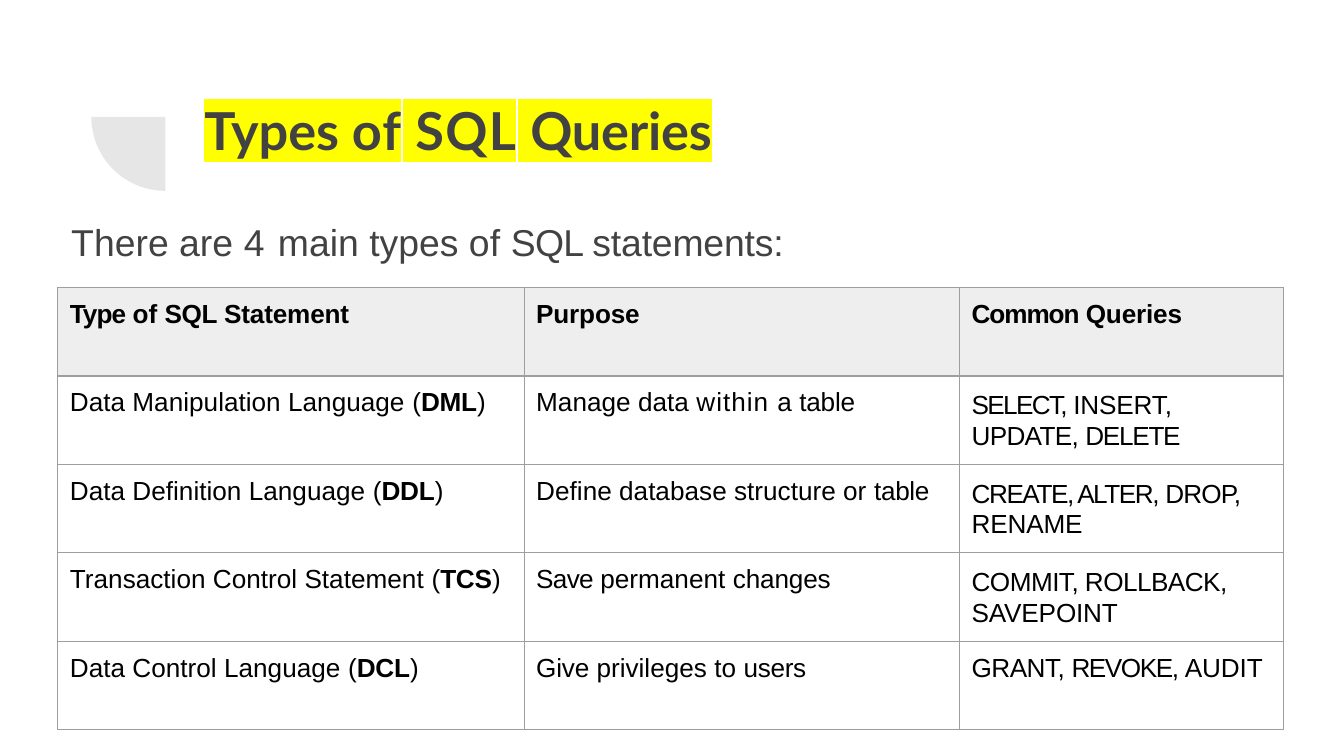
from dataclasses import dataclass
from math import cos, pi, sin
from typing import NamedTuple

from lxml.etree import SubElement
from pptx import Presentation
from pptx.dml.color import RGBColor
from pptx.enum.text import MSO_ANCHOR as Anchor, MSO_AUTO_SIZE as AutoSize, PP_ALIGN as Align
from pptx.oxml.ns import qn
from pptx.util import Inches, Pt


@dataclass(frozen=True)
class Theme:
    ink: str = "424242"
    black: str = "000000"
    highlight: str = "FFFF00"
    header: str = "EEEEEE"
    border: str = "9E9E9E"
    title_font: str = "Lato"
    body_font: str = "Arial"
    title_size: float = 28
    body_size: float = 20
    table_size: float = 14


class Span(NamedTuple):
    text: str
    spc: float = 0
    bold: bool = False


class Statement(NamedTuple):
    kind: list[Span]
    purpose: list[Span]
    queries: list[Span]
    two_lines: bool = True


THEME = Theme()

TITLE = [Span("Types"), Span(" ", -0.6), Span("of", 0.7), Span(" ", -0.5),
         Span("SQL", 0.8), Span(" ", -0.5), Span("Queries", -0.1)]
INTRO = [Span("There are "), Span("4 ", 0.8), Span("main types of "),
         Span("SQL ", -0.4), Span("statements:", -0.1)]
HEADER = [
    [Span("Type ", -0.5), Span("of "), Span("SQL ", -0.2), Span("Statement", -0.1)],
    [Span("Purpose", -0.1)],
    [Span("Common ", -0.6), Span("Queries", -0.1)],
]


def kind(name: str, code: str) -> list[Span]:
    return [Span(f"{name} "), Span("(", -0.2), Span(code, -0.2, True), Span(")", -0.2)]


STATEMENTS = [
    Statement(kind("Data Manipulation Language", "DML"),
              [Span("Manage data "), Span("within ", 0.5), Span("a "), Span("table", -0.1)],
              [Span("SELECT, ", -0.9), Span("INSERT, ", -0.1),
               Span("UPDATE, ", -0.4), Span("DELETE", -0.7)]),
    Statement(kind("Data Deﬁnition Language", "DDL"),
              [Span("Deﬁne database structure or "), Span("table", -0.2)],
              [Span("CREATE, ALTER, ", -0.8), Span("DROP, ", -0.5), Span("RENAME", -0.1)]),
    Statement(kind("Transaction Control Statement", "TCS"),
              [Span("Save ", -0.4), Span("permanent "), Span("changes", -0.1)],
              [Span("COMMIT, ROLLBACK, ", -0.3), Span("SAVEPOINT", -0.1)]),
    Statement(kind("Data Control Language", "DCL"),
              [Span("Give ", -0.1), Span("privileges to "), Span("users", -0.2)],
              [Span("GRANT, ", -0.3), Span("REVOKE, ", -0.8), Span("AUDIT", -0.1)],
              two_lines=False),
]


def rgb(color: str) -> RGBColor:
    return RGBColor.from_string(color)


def write(tf, spans: list[Span], *, size: float, color: str, font: str = THEME.body_font,
          bold: bool = False, highlight: str = "", indent: float = 0, before: float = 1,
          leading: float | None = None) -> None:
    tf.word_wrap = True
    p = tf.paragraphs[0]
    p.alignment = Align.LEFT
    p.space_before = Pt(before)
    if leading:
        p.line_spacing = Pt(leading)
    pPr = p._p.get_or_add_pPr()
    pPr.set("marL", str(Inches(indent)))
    pPr.set("indent", "0")
    for span in spans:
        r = p.add_run()
        r.text = span.text
        r.font.name = font
        r.font.size = Pt(size)
        r.font.bold = bold or span.bold
        r.font.color.rgb = rgb(color)
        rPr = r._r.get_or_add_rPr()
        rPr.set("spc", str(round(span.spc * 100)))
        if highlight:
            mark = SubElement(rPr, qn("a:highlight"))
            SubElement(mark, qn("a:srgbClr"), val=highlight)
            rPr.find(qn("a:solidFill")).addnext(mark)


def set_margins(box, top: float) -> None:
    box.margin_left = box.margin_right = box.margin_bottom = 0
    box.margin_top = Inches(top)


def place(sp, left: float, top: float, width: float, height: float) -> None:
    sp.left, sp.top, sp.width, sp.height = map(Inches, (left, top, width, height))


def add_quarter_disc(s, cx: float, cy: float, radius: float, steps: int = 24) -> None:
    angles = [pi / 2 * i / steps for i in range(steps + 1)]
    arc = [(Inches(cx - radius * cos(a)), Inches(cy + radius * sin(a))) for a in angles]
    builder = s.shapes.build_freeform(Inches(cx), Inches(cy))
    builder.add_line_segments(arc, close=True)
    sp = builder.convert_to_shape()
    sp.shadow.inherit = False
    sp.line.fill.background()
    sp.fill.solid()
    sp.fill.fore_color.rgb = rgb(THEME.ink)
    SubElement(sp._element.spPr.find(f".//{qn('a:srgbClr')}"), qn("a:alpha"), val="13000")


def add_borders(cell) -> None:
    tcPr = cell._tc.get_or_add_tcPr()
    for i, side in enumerate(("lnL", "lnR", "lnT", "lnB")):
        ln = SubElement(tcPr, qn(f"a:{side}"), w=str(Pt(0.75)))
        fill = SubElement(ln, qn("a:solidFill"))
        SubElement(fill, qn("a:srgbClr"), val=THEME.border)
        tcPr.insert(i, ln)


def fill_cell(cell, spans: list[Span], *, header: bool = False, two_lines: bool = False) -> None:
    set_margins(cell, 0.1 if two_lines else 0.09)
    write(cell.text_frame, spans, size=THEME.table_size, color=THEME.black, bold=header,
          indent=0.09, before=7 if two_lines else 6.2, leading=16.5 if two_lines else None)
    if header:
        cell.fill.solid()
        cell.fill.fore_color.rgb = rgb(THEME.header)
    else:
        cell.fill.background()
    add_borders(cell)


def add_statement_table(s) -> None:
    widths = (3.47, 3.24, 2.41)
    rows = len(STATEMENTS) + 1
    frame = s.shapes.add_table(rows, len(widths), Inches(0.43), Inches(2.14),
                               Inches(sum(widths)), Inches(3.29))
    table = frame.table
    table.first_row = table.horz_banding = False
    for column, width in zip(table.columns, widths):
        column.width = Inches(width)
    for col, spans in enumerate(HEADER):
        fill_cell(table.cell(0, col), spans, header=True)
    for row, st in enumerate(STATEMENTS, 1):
        fill_cell(table.cell(row, 0), st.kind)
        fill_cell(table.cell(row, 1), st.purpose)
        fill_cell(table.cell(row, 2), st.queries, two_lines=st.two_lines)


def main() -> None:
    prs = Presentation()
    prs.slide_width = Inches(10)
    prs.slide_height = prs.slide_width * 9 // 16
    s = prs.slides.add_slide(prs.slide_layouts[5])

    add_quarter_disc(s, 1.23, 0.87, 0.55)

    title = s.shapes.title
    place(title, 0.98, 0.27, 7.52, 0.94)
    tf = title.text_frame
    set_margins(tf, 0.46)
    tf.vertical_anchor = Anchor.TOP
    tf.auto_size = AutoSize.SHAPE_TO_FIT_TEXT
    write(tf, TITLE, size=THEME.title_size, color=THEME.ink, font=THEME.title_font,
          bold=True, highlight=THEME.highlight, indent=0.54)

    add_statement_table(s)

    intro = s.shapes.add_textbox(Inches(0.52), Inches(1.62), Inches(5.35), Inches(0.36))
    tf = intro.text_frame
    set_margins(tf, 0.01)
    tf.auto_size = AutoSize.SHAPE_TO_FIT_TEXT
    write(tf, INTRO, size=THEME.body_size, color=THEME.ink, indent=0.01)

    prs.save("out.pptx")


if __name__ == "__main__":
    main()
